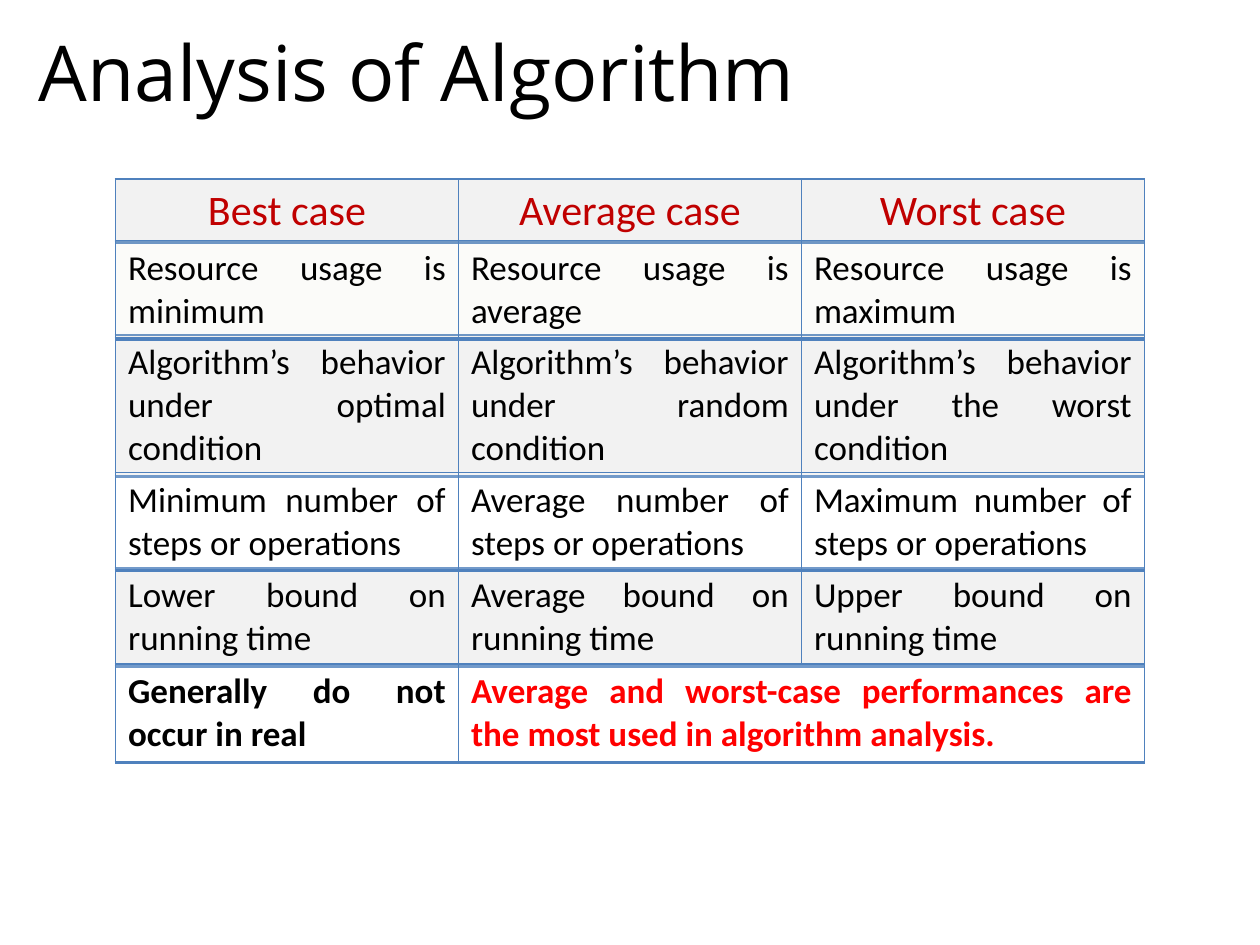
from lxml import etree
from pptx import Presentation
from pptx.dml import color
from pptx.enum import text
from pptx.oxml import ns
from pptx.util import Pt


def rgb(code):
    return color.RGBColor.from_string(code)


class Deck:
    font = "Calibri"
    edge = "4F81BD"
    left = 66
    col = 196

    def __init__(self):
        self.prs = Presentation()
        self.prs.slide_width, self.prs.slide_height = Pt(720), Pt(540)
        self.slide = self.prs.slides.add_slide(self.prs.slide_layouts[5])

    def label(self, frame, words, size, ink, align, font=font, bold=False):
        para = frame.paragraphs[0]
        para.alignment = align
        run = para.add_run()
        run.text = words
        run.font.name, run.font.size, run.font.bold = font, Pt(size), bold
        run.font.color.rgb = rgb(ink)

    def title(self, words):
        box = self.slide.shapes.title
        box.left, box.top, box.width, box.height = Pt(15), Pt(8.6), Pt(690), Pt(63.4)
        frame = box.text_frame
        frame.auto_size = text.MSO_AUTO_SIZE.NONE
        frame.vertical_anchor = text.MSO_ANCHOR.MIDDLE
        self.label(frame, words, 44, "000000", text.PP_ALIGN.LEFT, "Open Sans")

    def paint(self, cell, fill, alpha):
        cell.fill.solid()
        cell.fill.fore_color.rgb = rgb(fill)
        props = cell._tc.get_or_add_tcPr()
        if alpha < 100:
            tone = props.find(".//" + ns.qn("a:srgbClr"))
            etree.SubElement(tone, ns.qn("a:alpha"), val=str(alpha * 1000))
        for spot, (side, width) in enumerate(zip("LRTB", (1, 1, 1, 2))):
            line = etree.Element(ns.qn("a:ln" + side), w=str(int(Pt(width))))
            solid = etree.SubElement(line, ns.qn("a:solidFill"))
            etree.SubElement(solid, ns.qn("a:srgbClr"), val=self.edge)
            props.insert(spot, line)

    def table(self, top, high, cells, fill, alpha=100, spans=(1, 1, 1), size=20,
              inks=("000000",) * 3, align=text.PP_ALIGN.JUSTIFY, bold=False):
        grid = self.slide.shapes.add_table(
            1, len(cells), Pt(self.left), Pt(top), Pt(self.col * 3), Pt(high)).table
        grid.first_row = grid.horz_banding = False
        for i, (words, span, ink) in enumerate(zip(cells, spans, inks)):
            grid.columns[i].width = Pt(self.col * span)
            cell = grid.cell(0, i)
            self.paint(cell, fill, alpha)
            self.label(cell.text_frame, words, size, ink, align, bold=bold)


def main():
    deck = Deck()
    deck.title("Analysis of Algorithm")
    deck.table(102.2, 36, ["Best case", "Average case", "Worst case"], "F2F2F2",
               size=24, inks=("C00000",) * 3, align=text.PP_ALIGN.CENTER)
    deck.table(191.5, 79, [f"Algorithm’s behavior under {kind} condition"
                           for kind in ("optimal", "random", "the worst")], "F2F2F2")
    deck.table(137.5, 55.4, [f"Resource usage is {kind}"
                             for kind in ("minimum", "average", "maximum")], "EEECE1", 20)
    deck.table(324.7, 55.4, [f"{kind} bound on running time"
                             for kind in ("Lower", "Average", "Upper")], "F2F2F2")
    deck.table(270, 55.4, [f"{kind} number of steps or operations"
                           for kind in ("Minimum", "Average", "Maximum")], "FFFFFF", 20)
    deck.table(379.4, 55.4, ["Generally do not occur in real",
                             "Average and worst-case performances are the most used in "
                             "algorithm analysis."],
               "FFFFFF", 20, spans=(1, 2), inks=("000000", "FF0000"), bold=True)
    deck.prs.save("out.pptx")


if __name__ == "__main__":
    main()
